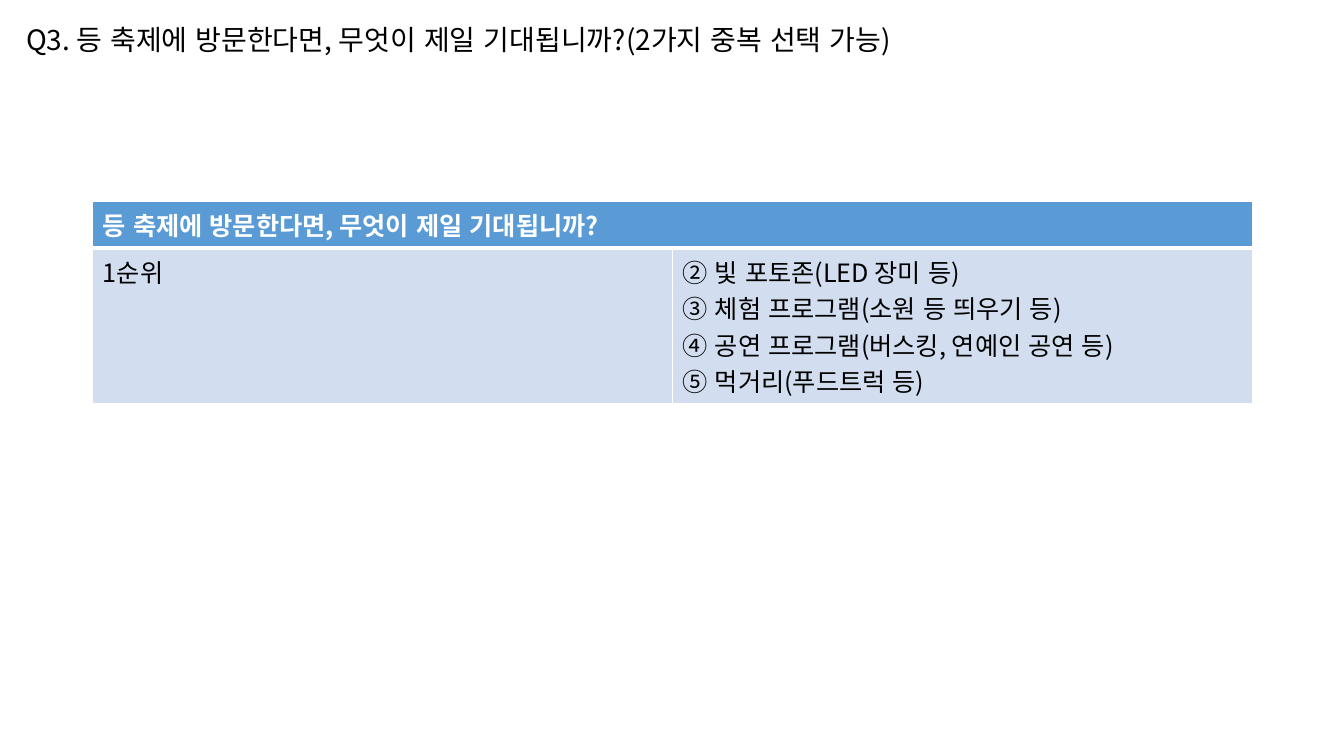
from dataclasses import dataclass

from lxml import etree
from pptx import Presentation
from pptx.dml.color import RGBColor
from pptx.enum.lang import MSO_LANGUAGE_ID
from pptx.enum.text import MSO_ANCHOR, MSO_AUTO_SIZE, PP_ALIGN
from pptx.oxml.ns import qn
from pptx.util import Inches, Pt

KOREAN = MSO_LANGUAGE_ID.KOREAN
TOP = MSO_ANCHOR.TOP
GROW = MSO_AUTO_SIZE.SHAPE_TO_FIT_TEXT
LEFT = PP_ALIGN.LEFT
TITLE_ONLY = 5


@dataclass(frozen=True)
class Theme:
    """Fonts, type sizes and colours of the slide."""

    font: str = "Noto Sans CJK KR"
    title_size: int = 20
    table_size: int = 18
    ink: str = "000000"
    white: str = "FFFFFF"
    header: str = "5B9BD5"
    body: str = "D2DEEF"


THEME = Theme()
ROW_HEIGHTS = (0.46, 1.54)
QUESTION = "Q3. 등 축제에 방문한다면, 무엇이 제일 기대됩니까?(2가지 중복 선택 가능)"
HEADING = "등 축제에 방문한다면, 무엇이 제일 기대됩니까?"
RANK = "1순위"
CHOICES = [
    "② 빛 포토존(LED 장미 등)",
    "③ 체험 프로그램(소원 등 띄우기 등)",
    "④ 공연 프로그램(버스킹, 연예인 공연 등)",
    "⑤ 먹거리(푸드트럭 등)",
]


def write_lines(frame, lines, size, color, bold=False):
    """Write each line as a left-aligned paragraph with one run."""
    for index, line in enumerate(lines):
        para = frame.paragraphs[0] if index == 0 else frame.add_paragraph()
        para.alignment = LEFT
        span = para.add_run()
        span.text = line
        span.font.name = THEME.font
        span.font.size = Pt(size)
        span.font.bold = bold
        span.font.language_id = KOREAN
        span.font.color.rgb = RGBColor.from_string(color)
        east_asian = etree.SubElement(span.font._element, qn("a:ea"))
        east_asian.set("typeface", THEME.font)


def add_question(page, text):
    """Place the survey question in the title placeholder."""
    title = page.shapes.title
    title.left, title.top = Inches(0.16), Inches(0.17)
    title.width, title.height = Inches(9.61), Inches(0.44)
    frame = title.text_frame
    frame.word_wrap = False
    frame.auto_size = GROW
    frame.vertical_anchor = TOP
    write_lines(frame, [text], THEME.title_size, THEME.ink)


def style_cell(cell, fill, bottom=1):
    """Give a cell white borders and a solid fill."""
    properties = cell._tc.get_or_add_tcPr()
    for side, width in (("L", 1), ("R", 1), ("T", 1), ("B", bottom)):
        line = etree.SubElement(properties, qn(f"a:ln{side}"), w=str(Pt(width)))
        paint = etree.SubElement(line, qn("a:solidFill"))
        etree.SubElement(paint, qn("a:srgbClr"), val=THEME.white)
    cell.fill.solid()
    cell.fill.fore_color.rgb = RGBColor.from_string(fill)


def add_answer_table(page):
    """Add the table of ranked answers under a merged heading."""
    table = page.shapes.add_table(
        2, 2, Inches(0.92), Inches(2), Inches(11.5), Inches(sum(ROW_HEIGHTS))
    ).table
    for row, height in zip(table.rows, ROW_HEIGHTS):
        row.height = Inches(height)
    for column in range(2):
        style_cell(table.cell(0, column), THEME.header, bottom=3)
        style_cell(table.cell(1, column), THEME.body)
    heading = table.cell(0, 0)
    heading.merge(table.cell(0, 1))
    write_lines(heading.text_frame, [HEADING], THEME.table_size, THEME.white, bold=True)
    for column, lines in enumerate(([RANK], CHOICES)):
        frame = table.cell(1, column).text_frame
        write_lines(frame, lines, THEME.table_size, THEME.ink)


def main():
    """Build the survey slide and save the deck."""
    deck = Presentation()
    deck.slide_width, deck.slide_height = Inches(13.33), Inches(7.5)
    page = deck.slides.add_slide(deck.slide_layouts[TITLE_ONLY])
    add_question(page, QUESTION)
    add_answer_table(page)
    deck.save("out.pptx")


if __name__ == "__main__":
    main()
